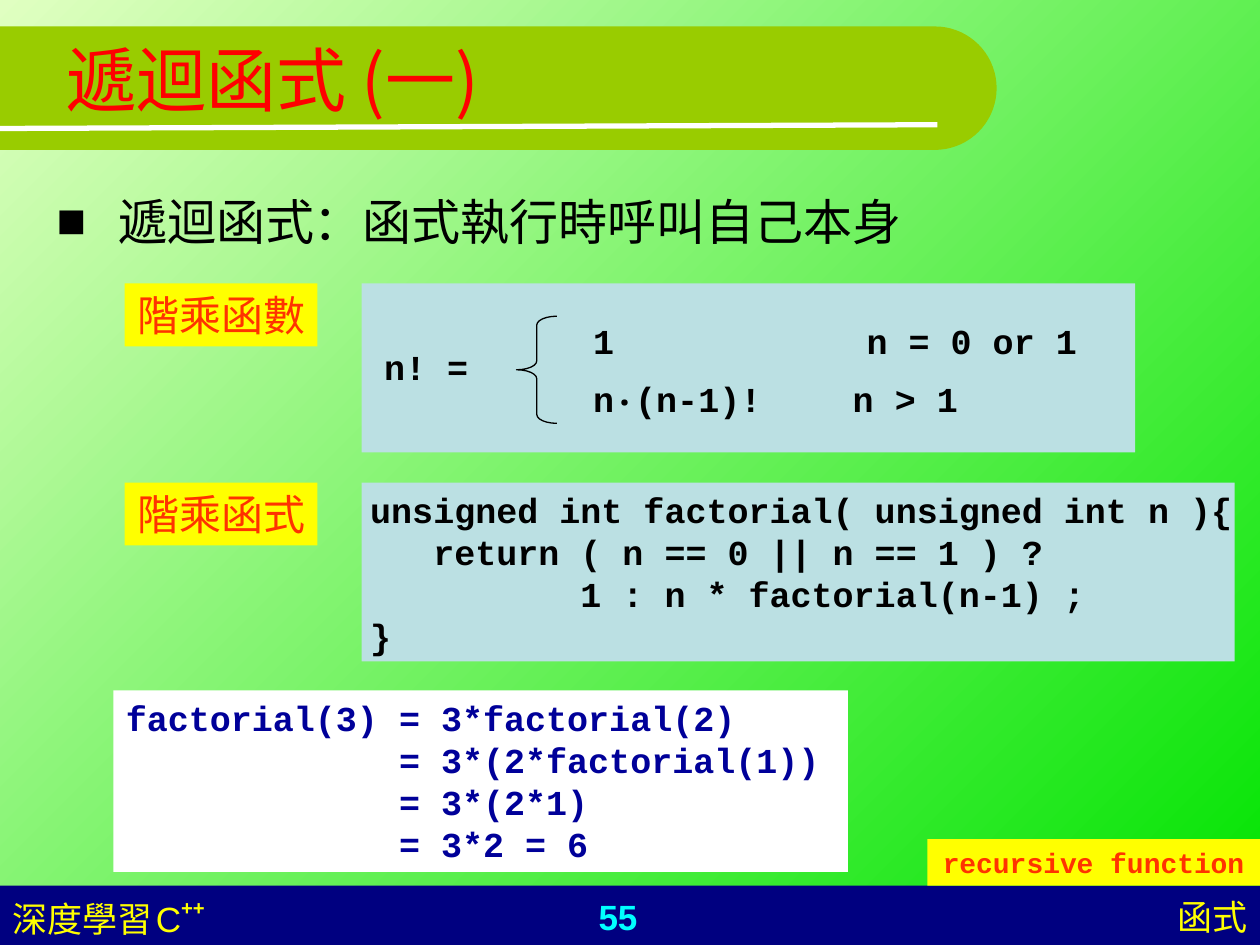
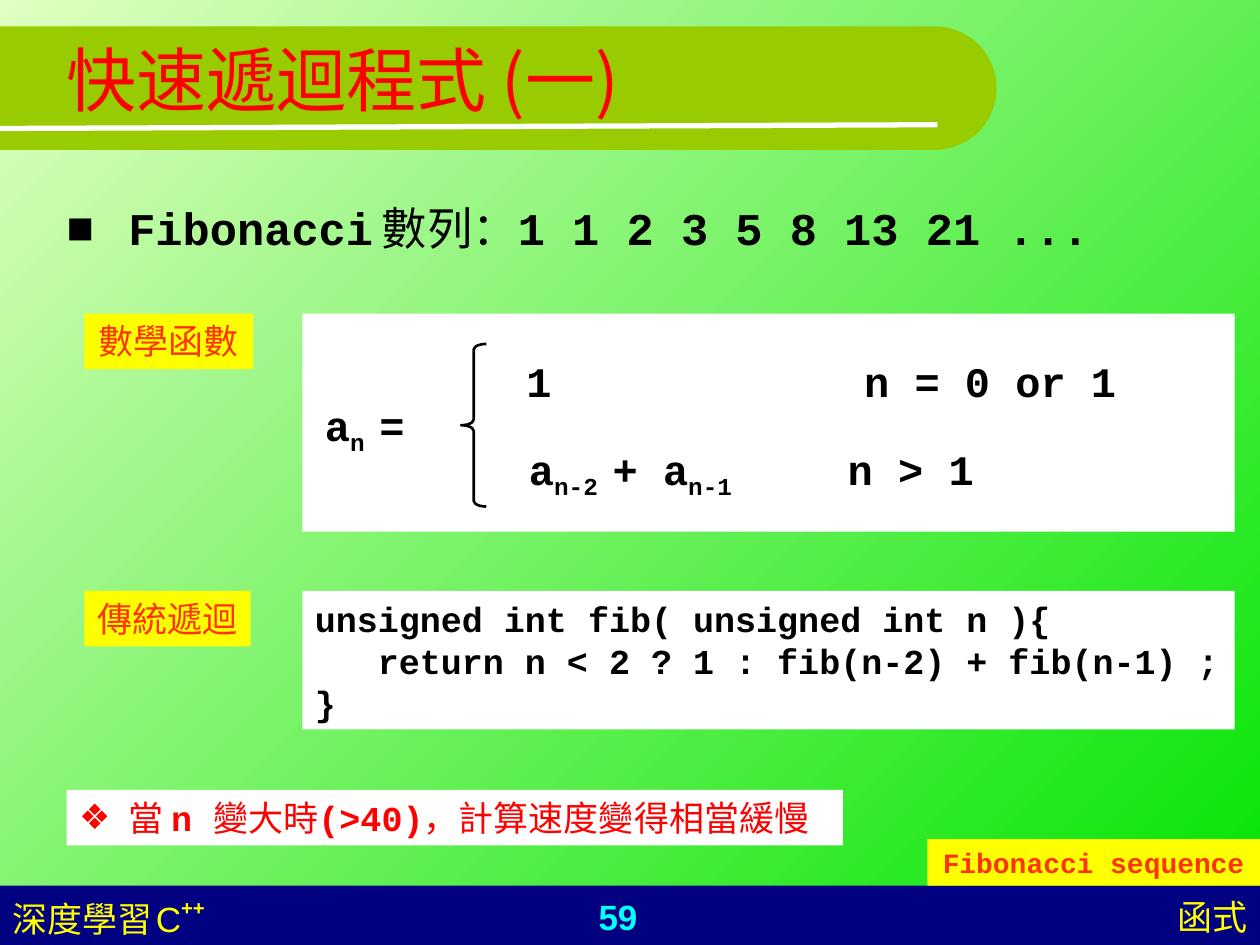
from dataclasses import dataclass
from math import cos, radians, sin

from lxml.etree import SubElement
from pptx import Presentation
from pptx.dml.color import RGBColor as RGB
from pptx.enum.shapes import MSO_CONNECTOR, MSO_SHAPE as Shape
from pptx.enum.text import MSO_ANCHOR as Anchor, PP_ALIGN as Align
from pptx.oxml.ns import qn
from pptx.util import Inches, Pt


@dataclass(frozen=True)
class Theme:
    # Colours
    sky_from: str = "E0FFC1"
    sky_to: str = "00E400"
    band: str = "99CC00"
    bar: str = "000080"
    white: str = "FFFFFF"
    black: str = "000000"
    red: str = "FF0000"
    yellow: str = "FFFF00"
    orange: str = "FF3300"
    cyan: str = "00FFFF"
    navy: str = "000099"
    pale: str = "BBE0E3"
    # Fonts
    sans: str = "Arial"
    code: str = "Courier New"
    han: str = "Noto Sans CJK SC"
    han_tc: str = "Noto Sans CJK TC"
    # Type sizes
    title: float = 40
    body: float = 28
    sequence: float = 25.9
    large: float = 24
    normal: float = 20
    tag: float = 16
    gap: float = 8


THEME = Theme()
SUB = {"baseline": -25000}


class Deck:
    """Holds the theme and the slide being built."""

    def __init__(self, theme):
        self.theme = theme
        self.prs = Presentation()
        self.prs.slide_width, self.prs.slide_height = Inches(10), Inches(7.5)
        self.slide = None

    # Basic elements
    def fill_text(self, shape, runs, size, color, font=None, bold=False, align=Align.LEFT,
                  anchor=Anchor.TOP, wrap=True, bullet=None, hang=0, tab=None):
        frame = shape.text_frame
        settings = {"word_wrap": wrap, "vertical_anchor": anchor,
                    "margin_left": Inches(0.1), "margin_right": Inches(0.1),
                    "margin_top": Inches(0.05), "margin_bottom": Inches(0.05)}
        for name, value in settings.items():
            setattr(frame, name, value)
        para = frame.paragraphs[0]
        para.alignment = align
        props = para._p.get_or_add_pPr()
        if bullet:
            props.set("marL", str(Inches(hang)))
            props.set("indent", str(-Inches(hang)))
            SubElement(SubElement(props, qn("a:buClr")), qn("a:srgbClr"), val=color)
            SubElement(props, qn("a:buFont"), typeface=self.theme.sans)
            SubElement(props, qn("a:buChar"), char=bullet)
        if tab:
            stops = SubElement(props, qn("a:tabLst"))
            SubElement(stops, qn("a:tab"), pos=str(Inches(tab)), algn="l")
        base = {"size": size, "name": font or self.theme.code, "bold": bold}
        for text, changes in [(runs, {})] if isinstance(runs, str) else runs:
            for number, line in enumerate(text.split("\n")):
                if number:
                    para.add_line_break()
                self.add_run(para, line, color, {**base, **changes})

    def add_run(self, para, text, color, style):
        run = para.add_run()
        run.text = text
        baseline = style.pop("baseline", None)
        style["size"] = Pt(style["size"])
        for name, value in style.items():
            setattr(run.font, name, value)
        run.font.color.rgb = RGB.from_string(color)
        props = run._r.get_or_add_rPr()
        if baseline:
            props.set("baseline", str(baseline))
        is_han = style["name"] in (self.theme.han, self.theme.han_tc)
        east = style["name"] if is_han else self.theme.han_tc
        SubElement(props, qn("a:ea"), typeface=east)

    def text(self, box, runs, size, color, **style):
        holder = self.slide.shapes.add_textbox(*map(Inches, box))
        self.fill_text(holder, runs, size, color, **style)

    def paint(self, shape, fill):
        shape.shadow.inherit = False
        shape.fill.solid()
        shape.fill.fore_color.rgb = RGB.from_string(fill)
        shape.line.fill.background()

    def panel(self, box, fill, runs=None, size=None, color=None, **style):
        panel = self.slide.shapes.add_shape(Shape.RECTANGLE, *map(Inches, box))
        self.paint(panel, fill)
        if runs:
            self.fill_text(panel, runs, size, color, **style)

    def brace(self, box, weight):
        brace = self.slide.shapes.add_shape(Shape.LEFT_BRACE, *map(Inches, box))
        brace.shadow.inherit = False
        brace.fill.background()
        brace.line.color.rgb = RGB.from_string(self.theme.black)
        brace.line.width = Pt(weight)
        brace.adjustments[0] = 0.22

    # Parts of the slide frame
    def backdrop(self):
        fill = self.slide.background.fill
        fill.gradient()
        fill.gradient_angle = 315
        colors = (self.theme.sky_from, self.theme.sky_to)
        for position, (stop, color) in enumerate(zip(fill.gradient_stops, colors)):
            stop.position = position
            stop.color.rgb = RGB.from_string(color)

    def title_band(self):
        center_x, center_y, radius = 7.42, 0.7, 0.49
        arc = [(center_x + radius * cos(radians(a)), center_y + radius * sin(radians(a)))
               for a in range(-90, 91, 5)]
        outline = self.slide.shapes.build_freeform(
            0, Inches(center_y - radius), scale=1.0)
        points = arc + [(0, center_y + radius)]
        outline.add_line_segments([(Inches(x), Inches(y)) for x, y in points])
        self.paint(outline.convert_to_shape(), self.theme.band)
        rule = self.slide.shapes.add_connector(
            MSO_CONNECTOR.STRAIGHT, *map(Inches, (0, 1.02, 7.44, 0.99)))
        rule.line.color.rgb = RGB.from_string(self.theme.white)
        rule.line.width = Pt(3)
        SubElement(rule._element.spPr, qn("a:effectLst"))

    def footer(self, page):
        t = self.theme
        self.panel((0, 7.03, 10, 0.47), t.bar)
        course = [("深度學習", {}), (" ", {"size": t.gap}), ("C", {}),
                  ("++", {"bold": True, "baseline": 46000})]
        self.text((0, 7.06, 2.33, 0.44), course, t.normal, t.yellow, font=t.sans)
        self.text((3.74, 7.06, 2.33, 0.44), page, t.normal, t.cyan, font=t.sans,
                  bold=True, align=Align.CENTER)
        self.text((6.57, 7.06, 3.43, 0.44), "函式", t.normal, t.yellow, font=t.sans,
                  align=Align.RIGHT)

    def new_slide(self, title, page, keyword):
        t = self.theme
        self.slide = self.prs.slides.add_slide(self.prs.slide_layouts[6])
        self.backdrop()
        self.title_band()
        self.footer(page)
        self.text((0.43, 0, 9, 1.25), [(title + " ", {}), ("(一)", {"name": t.han})],
                  t.title, t.red, font=t.sans, anchor=Anchor.MIDDLE)
        self.panel((7.36, 6.66, 2.64, 0.37), t.yellow, keyword, t.tag, t.orange,
                   bold=True, align=Align.CENTER)

    # Parts of the content
    def topic(self, box, runs, size):
        self.text(box, runs, size, self.theme.black, bullet="■", hang=0.49)

    def label(self, box, text, size):
        self.panel(box, self.theme.yellow, text, size, self.theme.orange,
                   align=Align.CENTER, wrap=False)

    def formula(self, size, lead, cases):
        for box, runs, tab in [(*lead, None), *cases]:
            self.text(box, runs, size, self.theme.black, bold=True, tab=tab)


def factorial_slide(deck):
    t = deck.theme
    deck.new_slide("遞迴函式", "55", "recursive function")
    deck.topic((0.35, 1.47, 7.02, 0.58), "遞迴函式：函式執行時呼叫自己本身", t.body)

    # Definition and code, each beside its label
    for label, top, width, height in (("階乘函數", 2.25, 6.14, 1.34),
                                      ("階乘函式", 3.83, 6.93, 1.42)):
        deck.label((0.99, top, 1.53, 0.5), label, t.large)
        deck.panel((2.87, top, width, height), t.pale)
    deck.brace((4.1, 2.51, 0.32, 0.85), 0.75)
    deck.formula(t.normal, ((2.95, 2.69, 1.1, 0.44), "n! ="), [
        ((4.61, 2.49, 5.2, 0.44), "1\tn = 0 or 1", 2.17),
        ((4.61, 2.95, 4.17, 0.44), "n‧(n-1)!\tn > 1", 2.06)])
    code = """unsigned int factorial( unsigned int n ){
   return ( n == 0 || n == 1 ) ?
          1 : n * factorial(n-1) ;
}"""
    deck.text((2.84, 3.83, 7.16, 1.44), code, t.normal, t.black, bold=True)

    # Worked expansion
    expansion = """factorial(3) = 3*factorial(2)
             = 3*(2*factorial(1))
             = 3*(2*1)
             = 3*2 = 6"""
    deck.panel((0.9, 5.48, 5.83, 1.44), t.white, expansion, t.normal, t.navy, bold=True)


def fibonacci_slide(deck):
    t = deck.theme
    strong = {"bold": True}
    deck.new_slide("快速遞迴程式", "59", "Fibonacci sequence")
    deck.topic((0.43, 1.54, 9, 0.58), [
        ("Fibonacci", strong), (" ", {"size": t.gap}), ("數列：", {}),
        ("1 1 2 3 5 8 13 21 ...", strong)], t.sequence)

    # Definition
    deck.label((0.67, 2.49, 1.34, 0.44), "數學函數", t.normal)
    deck.panel((2.4, 2.49, 7.4, 1.73), t.white)
    deck.brace((3.66, 2.73, 0.2, 1.29), 1.5)
    lead = [("a", {}), ("n ", SUB), ("=", {})]
    recurrence = [("a", {}), ("n-2 ", SUB), ("+ a", {}), ("n-1", SUB), ("\tn > 1", {})]
    deck.formula(t.large, ((2.48, 3.12, 1.02, 0.56), lead), [
        ((4.08, 2.77, 5.2, 0.5), "1\tn = 0 or 1", 2.68),
        ((4.1, 3.47, 4.44, 0.56), recurrence, 2.53)])

    # Code
    deck.label((0.67, 4.69, 1.32, 0.44), "傳統遞迴", t.normal)
    code = """unsigned int fib( unsigned int n ){
   return n < 2 ? 1 : fib(n-2) + fib(n-1) ;
}"""
    deck.panel((2.4, 4.69, 7.4, 1.1), t.white, code, t.normal, t.black, bold=True)

    # Remark on speed
    mono = {"name": t.code, "bold": True}
    remark = [("當 ", {}), ("n ", mono), ("變大時", {}), ("(>40)", mono),
              ("，", {"name": t.han_tc}), ("計算速度變得相當緩慢", {})]
    deck.panel((0.53, 6.27, 6.16, 0.44), t.white, remark, t.normal, t.red,
               font=t.han, wrap=False, bullet="❖", hang=0.39)


def main():
    deck = Deck(THEME)
    factorial_slide(deck)
    fibonacci_slide(deck)
    deck.prs.save("out.pptx")


if __name__ == "__main__":
    main()
